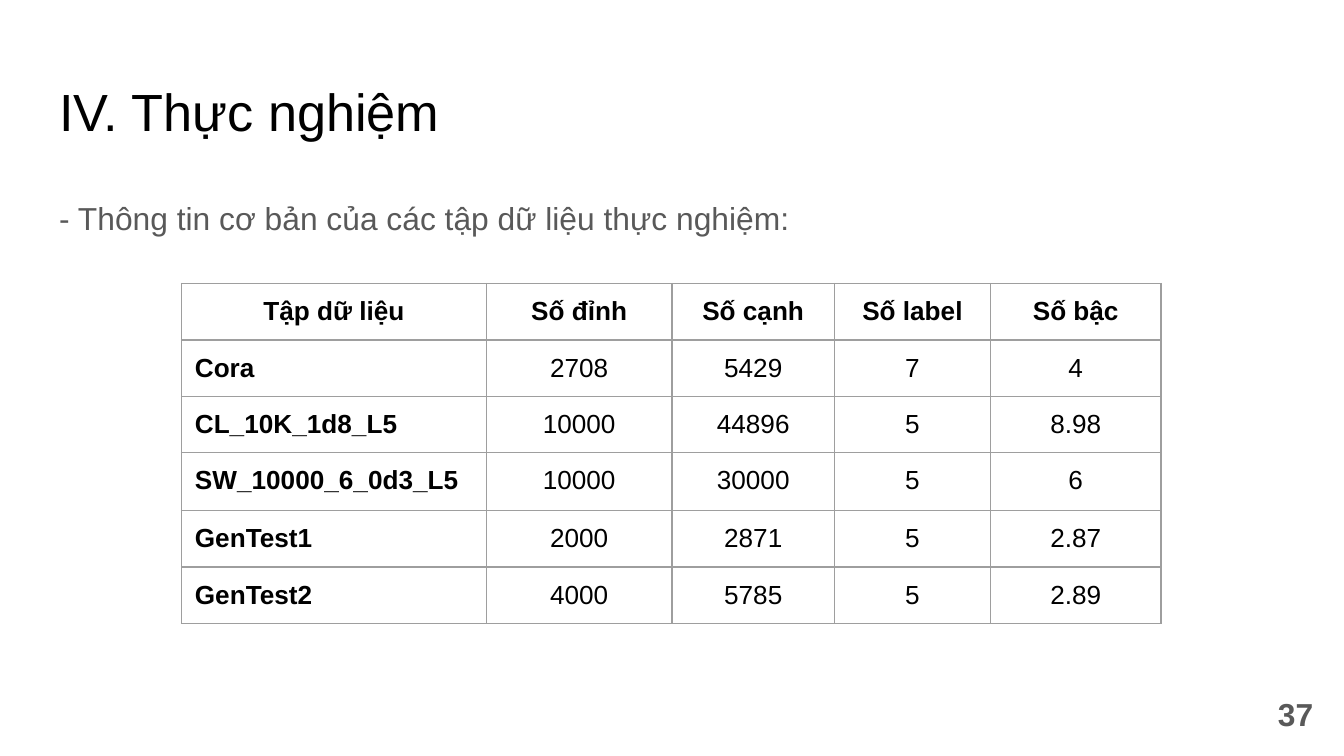
from lxml import etree
from pptx import Presentation
from pptx.dml.color import RGBColor
from pptx.enum.text import MSO_ANCHOR, MSO_AUTO_SIZE, PP_ALIGN
from pptx.oxml import parse_xml
from pptx.oxml.ns import nsdecls, qn
from pptx.util import Inches, Pt

LEFT, CENTER, RIGHT = PP_ALIGN.LEFT, PP_ALIGN.CENTER, PP_ALIGN.RIGHT
TOP, MIDDLE = MSO_ANCHOR.TOP, MSO_ANCHOR.MIDDLE
NO_FIT = MSO_AUTO_SIZE.NONE
BLACK, GRAY, BORDER = "000000", "595959", "9E9E9E"


def write(tf, text, size, color, bold=False, align=LEFT):
    p = tf.paragraphs[0]
    p.alignment = align
    r = p.add_run()
    r.text = text
    for name, value in {"name": "Arial", "size": Pt(size), "bold": bold}.items():
        setattr(r.font, name, value)
    r.font.color.rgb = RGBColor.from_string(color)
    return p


def place(sp, left, top, width, height, anchor=TOP):
    box = {"left": left, "top": top, "width": width, "height": height}
    for name, value in box.items():
        setattr(sp, name, Inches(value))
    tf = sp.text_frame
    frame = {"word_wrap": True, "auto_size": NO_FIT, "vertical_anchor": anchor}
    for side in ("left", "top", "right", "bottom"):
        frame["margin_" + side] = Inches(0.1)
    for name, value in frame.items():
        setattr(tf, name, value)
    return tf


prs = Presentation()
prs.slide_width, prs.slide_height = Inches(10), Inches(10 * 9 / 16)
s = prs.slides.add_slide(prs.slide_layouts[1])

tf = place(s.shapes.title, 0.34, 0.49, 9.32, 0.63)
write(tf, "IV. Thực nghiệm", 28, BLACK)

tf = place(s.placeholders[1], 0.34, 1.34, 9.32, 3.74)
p = write(tf, "- Thông tin cơ bản của các tập dữ liệu thực nghiệm:", 17, GRAY)
spacing = {"line_spacing": 1.15, "space_before": Pt(0), "space_after": Pt(16)}
for name, value in spacing.items():
    setattr(p, name, value)
pPr = p._p.get_or_add_pPr()
pPr.set("marL", "0")
pPr.set("indent", "0")
etree.SubElement(pPr, qn("a:buNone"))

rows = [
    ["Tập dữ liệu", "Số đỉnh", "Số cạnh", "Số label", "Số bậc"],
    ["Cora", "2708", "5429", "7", "4"],
    ["CL_10K_1d8_L5", "10000", "44896", "5", "8.98"],
    ["SW_10000_6_0d3_L5", "10000", "30000", "5", "6"],
    ["GenTest1", "2000", "2871", "5", "2.87"],
    ["GenTest2", "4000", "5785", "5", "2.89"],
]
col_widths = [2.27, 1.38, 1.21, 1.16, 1.27]
row_height = 0.42
table = s.shapes.add_table(
    len(rows), len(col_widths), Inches(1.35), Inches(2.11),
    Inches(sum(col_widths)), Inches(row_height * len(rows))).table
table.first_row = table.horz_banding = False
for col, width in zip(table.columns, col_widths):
    col.width = Inches(width)
for i, values in enumerate(rows):
    table.rows[i].height = Inches(row_height)
    for j, text in enumerate(values):
        cell = table.cell(i, j)
        for side in ("left", "top", "right", "bottom"):
            setattr(cell, "margin_" + side, Inches(0.1))
        align = LEFT if i > 0 and j == 0 else CENTER
        write(cell.text_frame, text, 14, BLACK, i == 0 or j == 0, align)
        tcPr = cell._tc.get_or_add_tcPr()
        for tag in ("lnL", "lnR", "lnT", "lnB"):
            tcPr.append(parse_xml(
                f'<a:{tag} {nsdecls("a")} w="{Pt(0.75)}"><a:solidFill>'
                f'<a:srgbClr val="{BORDER}"/></a:solidFill></a:{tag}>'))
        cell.fill.background()
table.rows[3].height = Inches(0.43)

sp = s.shapes.add_textbox(0, 0, 0, 0)
tf = place(sp, 9.27, 5.1, 0.6, 0.43, MIDDLE)
write(tf, "37", 17, GRAY, True, RIGHT)

prs.save("out.pptx")
